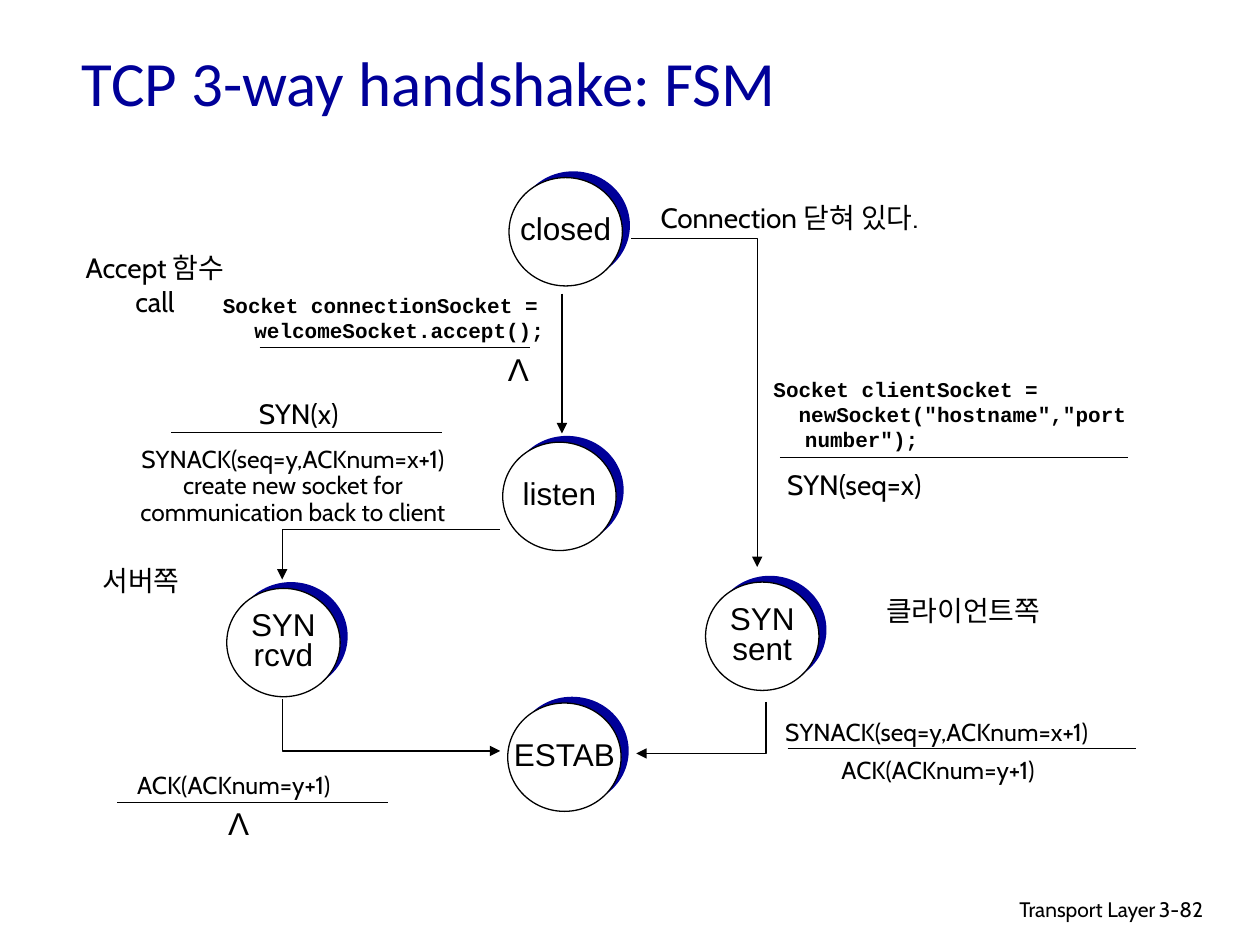
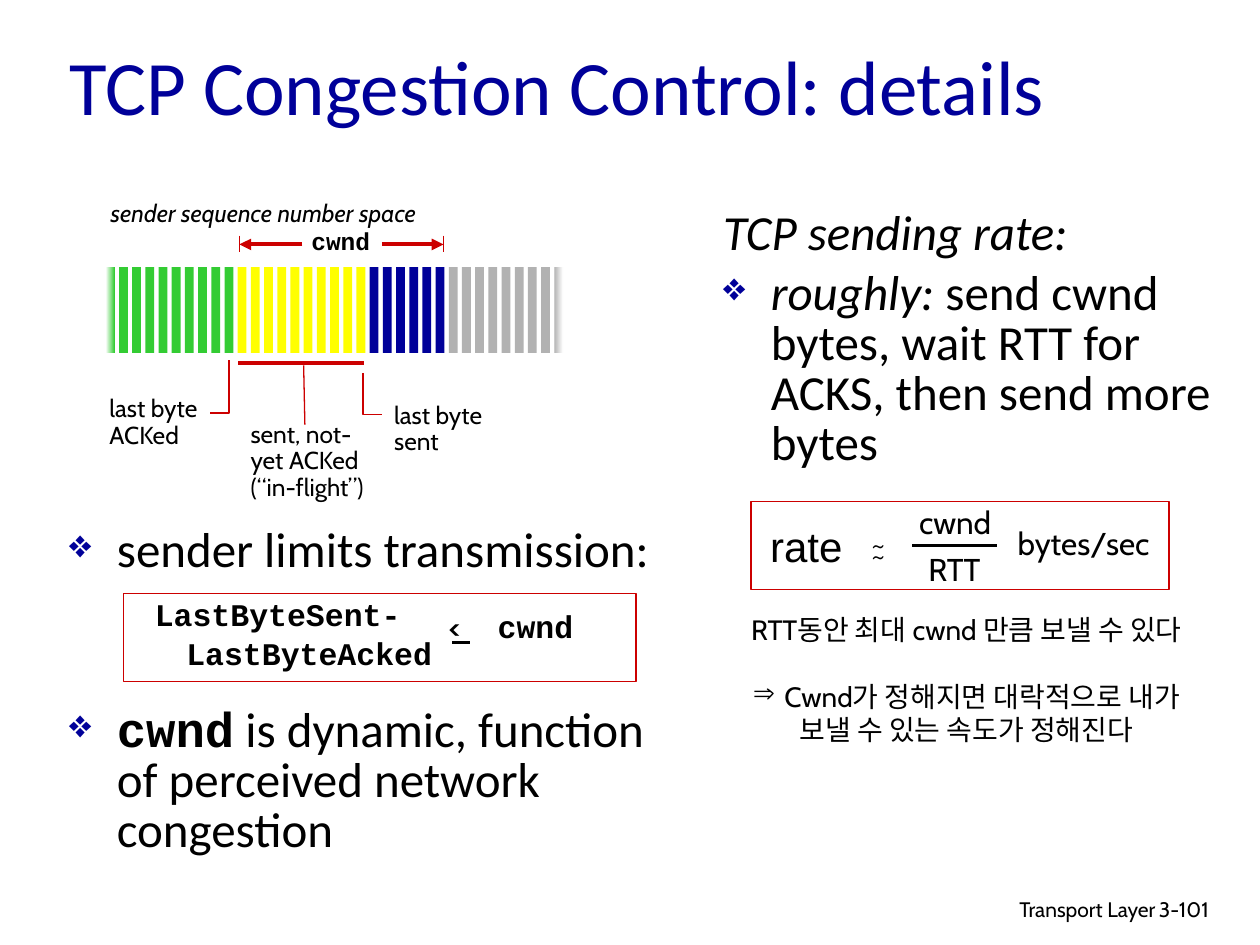
import pptx
import pptx.util
from lxml import etree
from pptx.dml.color import RGBColor
from pptx.enum.shapes import MSO_CONNECTOR, MSO_SHAPE
from pptx.enum.text import MSO_ANCHOR, MSO_AUTO_SIZE, PP_ALIGN
from pptx.oxml.ns import qn
from pptx.util import Inches

NAVY = RGBColor(0x00, 0x00, 0x99)
BLACK = RGBColor(0x00, 0x00, 0x00)
WHITE = RGBColor(0xFF, 0xFF, 0xFF)
RED = RGBColor(0xCC, 0x00, 0x00)
GREEN = RGBColor(0x33, 0xCC, 0x33)
YELLOW = RGBColor(0xFF, 0xFF, 0x00)
GRAY = RGBColor(0xB2, 0xB2, 0xB2)

LABEL = {"name": "Cabin", "size": 16}
SMALL = {"name": "Cabin", "size": 14}
FORMULA = {"name": "Cabin", "size": 18}
FOOTER = {"name": "Cabin", "size": 12}
STATE = {"name": "Arial", "size": 18}
BODY = {"name": "Calibri", "size": 28}
CODE = {"name": "Courier New", "size": 12, "bold": True}
CODE_LARGE = {**CODE, "size": 18}

CENTER = {"alignment": PP_ALIGN.CENTER}
RIGHT = {"alignment": PP_ALIGN.RIGHT}
TIGHT = {"line_spacing": 0.9}
TIGHT_CENTER = {**CENTER, **TIGHT}
DENSE = {"line_spacing": 0.85}


def set_all(obj, values):
    for name, value in values.items():
        setattr(obj, name, value)


def add_run(p, text, font):
    r = p.add_run()
    r.text = text
    values = {**font, "size": pptx.util.Pt(font["size"])}
    set_all(r.font, values)
    r.font.color.rgb = BLACK


def set_indent(p, left, first=0):
    pPr = p._p.get_or_add_pPr()
    pPr.set("marL", str(Inches(left)))
    pPr.set("indent", str(Inches(first)))


def set_bullet(p, char, color, percent):
    pPr = p._p.get_or_add_pPr()
    clr = etree.SubElement(pPr, qn("a:buClr"))
    etree.SubElement(clr, qn("a:srgbClr"), val=str(color))
    etree.SubElement(pPr, qn("a:buSzPct"), val=str(percent * 1000))
    etree.SubElement(pPr, qn("a:buChar"), char=char)


def para(*runs, indent=None, bullet=None, before=None):
    return {"runs": runs, "indent": indent, "bullet": bullet, "before": before}


def body_point(*runs, before=None):
    return para(*runs, indent=(0.38, -0.38), bullet=("❖", NAVY, 80), before=before)


def fill_text(tf, paras, font, layout):
    for i, item in enumerate(paras):
        item = para(item) if isinstance(item, str) else item
        p = tf.paragraphs[0] if i == 0 else tf.add_paragraph()
        if item["indent"]:
            set_indent(p, *item["indent"])
        if item["bullet"]:
            set_bullet(p, *item["bullet"])
        if item["before"]:
            p.space_before = pptx.util.Pt(item["before"])
        set_all(p, layout)
        for run in item["runs"]:
            text, changes = (run, {}) if isinstance(run, str) else run
            add_run(p, text, {**font, **changes})


def add_text(slide, box, paras, font, layout=CENTER, wrap=False):
    sp = slide.shapes.add_textbox(*map(Inches, box))
    tf = sp.text_frame
    set_all(tf, {"word_wrap": wrap, "auto_size": MSO_AUTO_SIZE.SHAPE_TO_FIT_TEXT})
    fill_text(tf, paras, font, layout)


def add_title(slide, box, text, size):
    sp = slide.shapes.add_textbox(*map(Inches, box))
    tf = sp.text_frame
    set_all(tf, {"word_wrap": True, "vertical_anchor": MSO_ANCHOR.MIDDLE})
    fill_text(tf, [text], {"name": "Calibri", "size": size}, {})
    tf.paragraphs[0].runs[0].font.color.rgb = NAVY


def add_footer(slide, number):
    add_text(slide, (6.1, 7.07, 3.17, 0.3), ["Transport Layer"], FOOTER, RIGHT, True)
    add_text(slide, (9.1, 7.07, 0.74, 0.3), [number], FOOTER, {}, True)


def style_line(sp, color, width, arrow):
    sp.line.color.rgb = color
    sp.line.width = pptx.util.Pt(width)
    if arrow:
        ln = sp._element.spPr.find(qn("a:ln"))
        etree.SubElement(ln, qn("a:tailEnd"), type="triangle")


def add_line(slide, start, end, color=BLACK, width=0.75, arrow=False):
    sp = slide.shapes.add_connector(MSO_CONNECTOR.STRAIGHT, *map(Inches, start + end))
    style_line(sp, color, width, arrow)
    etree.SubElement(sp._element.spPr, qn("a:effectLst"))


def add_elbow(slide, points, color=BLACK, width=0.75, arrow=False):
    start, *rest = [(Inches(x), Inches(y)) for x, y in points]
    builder = slide.shapes.build_freeform(*start)
    builder.add_line_segments(rest, close=False)
    sp = builder.convert_to_shape()
    sp.shadow.inherit = False
    sp.fill.background()
    style_line(sp, color, width, arrow)


def add_solid(slide, kind, box, color):
    sp = slide.shapes.add_shape(kind, *map(Inches, box))
    sp.shadow.inherit = False
    sp.fill.solid()
    sp.fill.fore_color.rgb = color
    sp.line.fill.background()
    return sp


def add_frame(slide, box):
    sp = slide.shapes.add_shape(MSO_SHAPE.RECTANGLE, *map(Inches, box))
    sp.shadow.inherit = False
    sp.fill.background()
    style_line(sp, RED, 1, False)


def add_state(slide, left, top, *words):
    width, height = 0.9, 0.86
    add_solid(slide, MSO_SHAPE.OVAL, (left + 0.06, top - 0.05, width, height), NAVY)
    sp = add_solid(slide, MSO_SHAPE.OVAL, (left, top, width, height), WHITE)
    style_line(sp, BLACK, 0.75, False)
    tf = sp.text_frame
    set_all(tf, {"word_wrap": False, "vertical_anchor": MSO_ANCHOR.MIDDLE})
    fill_text(tf, words, STATE, {**CENTER, "line_spacing": 0.8})


def add_byte_strip(slide):
    first, last, top, width, height = 0.84, 4.4, 2.12, 0.07, 0.68
    colors = [GREEN] * 10 + [YELLOW] * 10 + [NAVY] * 6 + [GRAY] * 9
    step = (last - first) / (len(colors) - 1)
    bars = [
        add_solid(slide, MSO_SHAPE.RECTANGLE, (first + i * step, top, width, height), color)
        for i, color in enumerate(colors)
    ]
    for bar, ends in ((bars[0], (WHITE, GREEN)), (bars[-1], (GRAY, WHITE))):
        bar.fill.gradient()
        bar.fill.gradient_angle = 0
        for stop, color in zip(bar.fill.gradient_stops, ends):
            stop.color.rgb = color


def build_handshake(slide):
    add_title(slide, (0.55, 0.18, 5.86, 0.93), "TCP 3-way handshake: FSM", 36)
    add_footer(slide, "3-82")

    add_state(slide, 4.04, 1.41, "closed")
    add_state(slide, 3.99, 3.51, "listen")
    add_state(slide, 1.8, 4.67, "SYN", "rcvd")
    add_state(slide, 5.6, 4.62, "SYN", "sent")
    add_state(slide, 4.03, 5.58, "ESTAB")

    add_line(slide, (4.46, 2.33), (4.46, 3.44), arrow=True)
    for route in (
        [(5.01, 1.89), (6.01, 1.89), (6.01, 4.5)],
        [(3.97, 4.2), (2.24, 4.2), (2.24, 4.6)],
        [(2.24, 5.55), (2.24, 5.96), (3.97, 5.96)],
        [(6.08, 5.57), (6.08, 5.98), (5.05, 5.98)],
    ):
        add_elbow(slide, route, arrow=True)

    for left, right, y in (
        (2.06, 4.21, 2.76),
        (6.19, 8.95, 3.63),
        (1.36, 3.51, 3.43),
        (6.25, 9.02, 5.94),
        (0.93, 3.08, 6.37),
    ):
        add_line(slide, (left, y), (right, y))

    hanging = (0.25, -0.25)
    add_text(slide, (6.04, 2.94, 3.16, 0.7), [
        para("Socket clientSocket =", indent=hanging),
        para('  newSocket("hostname","port number");', indent=hanging),
    ], CODE, {}, True)
    add_text(slide, (1.67, 2.27, 2.82, 0.5), [
        para("Socket connectionSocket = welcomeSocket.accept();", indent=hanging),
    ], CODE, {}, True)

    for left, top in ((3.93, 2.73), (1.71, 6.33)):
        add_text(slide, (left, top, 0.37, 0.4), ["Λ"], STATE)

    for left, top, width, text in (
        (6.09, 3.66, 1.38, "SYN(seq=x)"),
        (1.93, 3.1, 0.88, "SYN(x)"),
        (5.06, 1.54, 2.41, "Connection 닫혀 있다."),
        (6.87, 4.66, 1.55, "클라이언트쪽"),
        (0.68, 4.42, 0.88, "서버쪽"),
    ):
        add_text(slide, (left, top, width, 0.37), [text], LABEL)
    add_text(slide, (0.53, 1.94, 1.4, 0.64), ["Accept 함수 call"], LABEL, CENTER, True)

    synack, ack = "SYNACK(seq=y,ACKnum=x+1)", "ACK(ACKnum=y+1)"
    for left, top, width, lines in (
        (0.9, 3.5, 2.85, [synack, "create new socket for", "communication back to client"]),
        (6.01, 5.67, 2.85, [synack]),
        (6.49, 5.97, 1.91, [ack]),
        (0.9, 6.09, 1.91, [ack]),
    ):
        add_text(slide, (left, top, width, 0.3), lines, SMALL, TIGHT_CENTER)


def build_congestion(slide):
    add_title(slide, (0.45, 0.25, 8.5, 0.84), "TCP Congestion Control: details", 44)
    add_footer(slide, "3-101")

    add_text(slide, (0.45, 4.14, 4.96, 2.7), [
        body_point("sender limits transmission:"),
        body_point(
            ("cwnd", {"name": "Courier New", "bold": True}),
            " is dynamic, function of perceived network congestion",
            before=74,
        ),
    ], BODY, DENSE, True)
    add_text(slide, (5.64, 1.62, 4.17, 2.2), [
        para(("TCP sending rate:", {"italic": True})),
        body_point(
            ("roughly:", {"italic": True}),
            " send cwnd bytes, wait RTT for ACKS, then send more bytes",
            before=6,
        ),
    ], BODY, DENSE, True)

    add_text(slide, (0.78, 1.52, 2.98, 0.33), ["sender sequence number space"],
             {**SMALL, "italic": True}, {})
    add_byte_strip(slide)

    add_text(slide, (2.37, 1.77, 0.67, 0.31), ["cwnd"], {**CODE, "size": 14}, TIGHT_CENTER)
    for inner, edge in ((3.03, 3.52), (2.4, 1.9)):
        add_line(slide, (inner, 1.94), (edge, 1.94), RED, 2.25, True)
        add_line(slide, (edge, 1.87), (edge, 2.0), RED)

    add_line(slide, (1.89, 2.88), (2.89, 2.88), RED, 2.25)
    add_line(slide, (2.41, 2.9), (2.42, 3.37), RED)
    add_elbow(slide, [(1.82, 2.86), (1.82, 3.28), (1.67, 3.28)], RED, 1)
    add_elbow(slide, [(2.88, 2.96), (2.88, 3.29), (3.03, 3.29)], RED, 1)
    for left, top, lines in (
        (0.77, 3.1, ["last byte", "ACKed"]),
        (1.89, 3.3, ["sent, not-yet ACKed", "(“in-flight”)"]),
        (3.03, 3.15, ["last byte sent"]),
    ):
        add_text(slide, (left, top, 1.17, 0.52), lines, SMALL, TIGHT, True)

    add_frame(slide, (0.98, 4.71, 4.07, 0.7))
    add_text(slide, (1.13, 4.72, 3.08, 0.67), [
        "LastByteSent-",
        para("LastByteAcked", indent=(0.25, 0), before=4),
    ], CODE_LARGE, DENSE, True)
    add_text(slide, (3.42, 4.8, 0.38, 0.37), ["<"], {**LABEL, "bold": True})
    add_line(slide, (3.59, 5.1), (3.73, 5.1), width=1.5)
    add_text(slide, (3.85, 4.77, 0.8, 0.4), ["cwnd"], CODE_LARGE)

    add_frame(slide, (5.96, 3.98, 3.32, 0.7))
    add_text(slide, (6.01, 4.08, 0.78, 0.5), ["rate"], {"name": "Arial", "size": 24})
    for top in (4.1, 4.19):
        add_text(slide, (6.46, top, 1.02, 0.4), ["~"], FORMULA, CENTER, True)
    for left, top, width, text in (
        (7.19, 3.94, 0.78, "cwnd"),
        (7.25, 4.32, 0.65, "RTT"),
        (7.9, 4.11, 1.4, "bytes/sec"),
    ):
        add_text(slide, (left, top, width, 0.4), [text], FORMULA)
    add_line(slide, (7.24, 4.33), (7.91, 4.33), width=1.5)

    add_text(slide, (5.61, 4.81, 4.12, 1.18), [
        "RTT동안 최대 cwnd 만큼 보낼 수 있다",
        para("Cwnd가 정해지면 대락적으로 내가", indent=(0.25, -0.25),
             bullet=("⇒", BLACK, 100), before=19),
        "보낼 수 있는 속도가 정해진다",
    ], LABEL)


def main():
    prs = pptx.Presentation()
    set_all(prs, {"slide_width": Inches(10), "slide_height": Inches(7.5)})
    for build in (build_handshake, build_congestion):
        build(prs.slides.add_slide(prs.slide_layouts[6]))
    prs.save("out.pptx")


if __name__ == "__main__":
    main()
